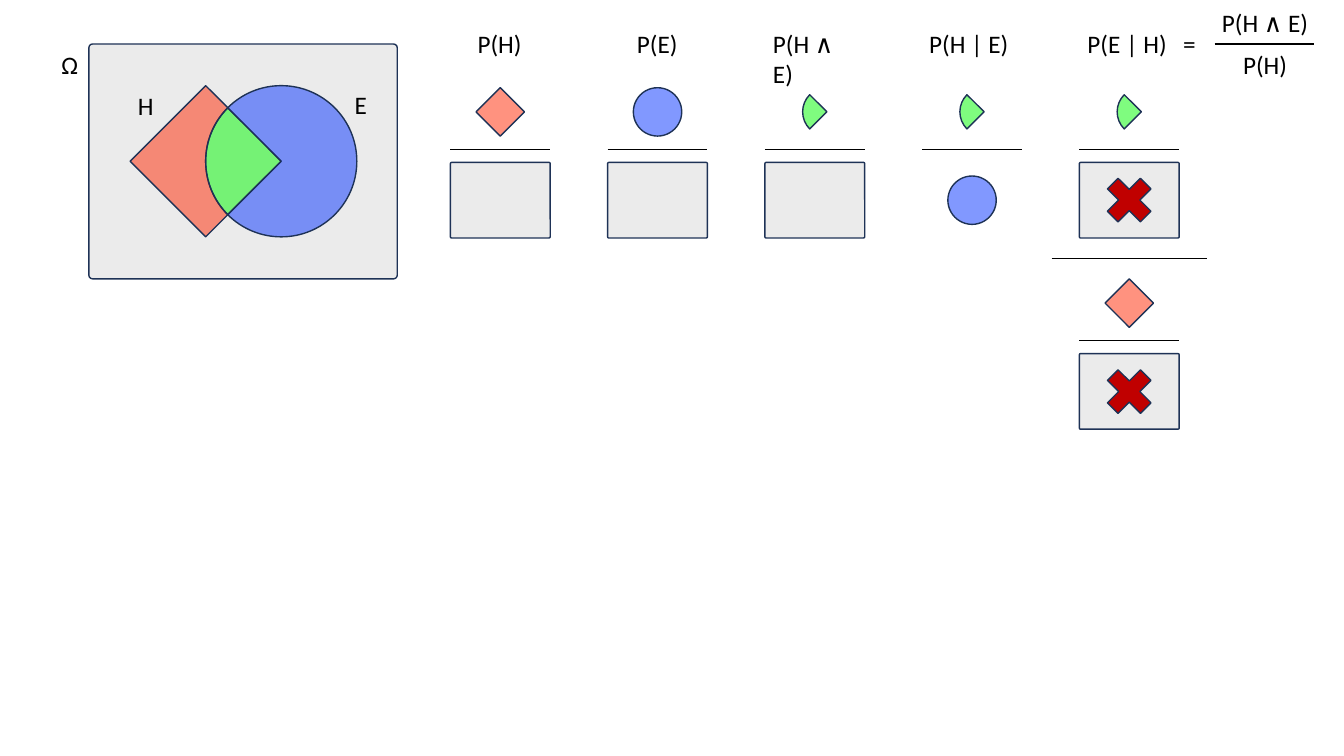
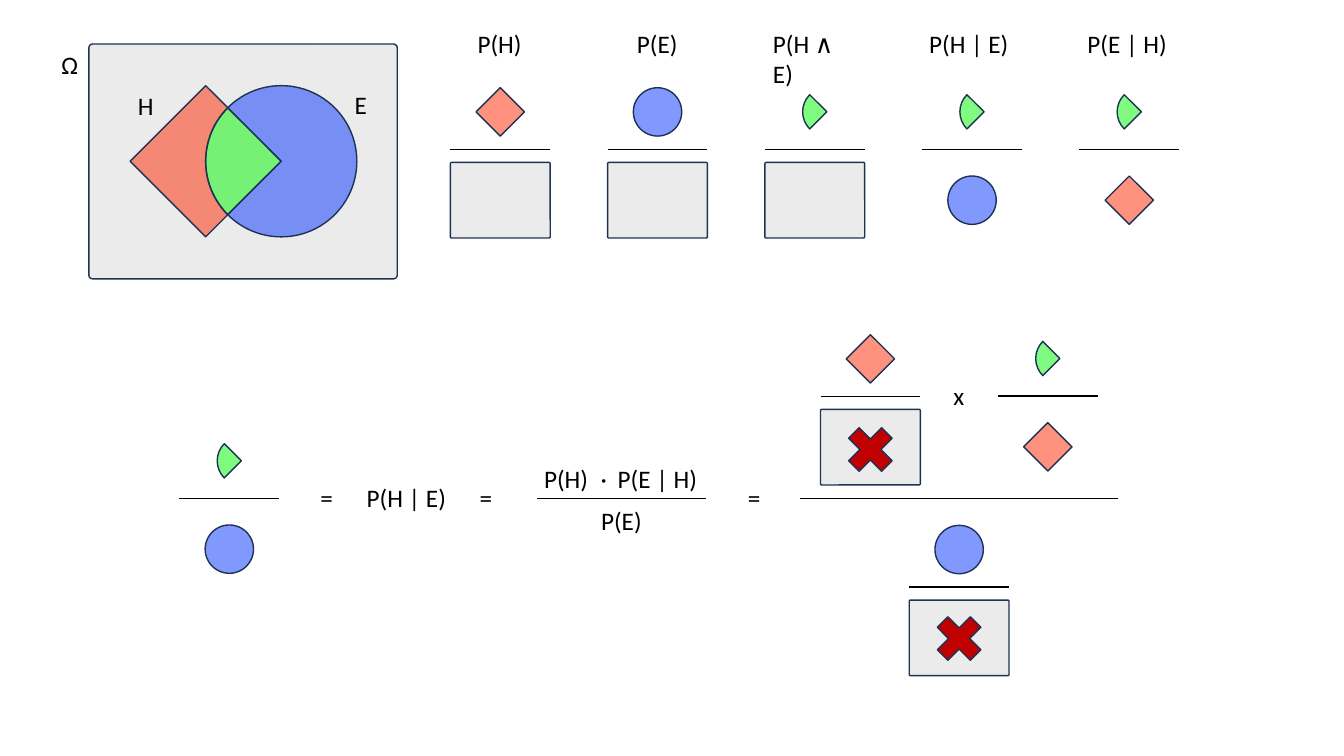
from math import cos, radians, sin, tan

from lxml import etree
from pptx import Presentation
from pptx.dml.color import RGBColor
from pptx.enum.shapes import MSO_CONNECTOR, MSO_SHAPE
from pptx.enum.text import PP_ALIGN
from pptx.oxml.ns import qn
from pptx.util import Inches, Pt

# Colours
RED = RGBColor(0xFF, 0x26, 0x00)
BLUE = RGBColor(0x04, 0x32, 0xFF)
GREEN = RGBColor(0x00, 0xFA, 0x00)
GRAY = RGBColor(0xD9, 0xD9, 0xD9)
CRIMSON = RGBColor(0xC0, 0x00, 0x00)
NAVY = RGBColor(0x1E, 0x32, 0x56)
BLACK = RGBColor(0x00, 0x00, 0x00)

# Enum members
DIAMOND = MSO_SHAPE.DIAMOND
OVAL = MSO_SHAPE.OVAL
ROUND = MSO_SHAPE.ROUNDED_RECTANGLE
TIMES = MSO_SHAPE.MATH_MULTIPLY
STRAIGHT = MSO_CONNECTOR.STRAIGHT
LEFT, CENTER = PP_ALIGN.LEFT, PP_ALIGN.CENTER

# Style; the grid has square cells of a tenth of an inch
FONT = {"name": "Calibri", "size": Pt(18)}
WIDE, HIGH = 133.33, 75
FIRST, STEP = 49.63, 15.6
BAR = 9.9
ROW = 14.83


def cell(count):
    return Inches(count / 10)


def arc(x, y, r, *turns):
    """Curves through the given angles, each two controls and an end."""
    curves = []
    for start, end in zip(turns, turns[1:]):
        a, b = radians(start), radians(end)
        k = 4 / 3 * tan((b - a) / 4)
        curves.append([
            (x + r * (cos(a) - k * sin(a)), y + r * (sin(a) + k * cos(a))),
            (x + r * (cos(b) + k * sin(b)), y + r * (sin(b) - k * cos(b))),
            (x + r * cos(b), y + r * sin(b))])
    return curves


class Board:
    """Holds the deck and the current slide; lengths are in cells."""

    def __init__(self):
        self.deck = Presentation()
        self.deck.slide_width = cell(WIDE)
        self.deck.slide_height = cell(HIGH)

    def page(self):
        blank = self.deck.slide_layouts[6]
        self.shapes = self.deck.slides.add_slide(blank).shapes

    def paint(self, shape, color, clear=True):
        shape.shadow.inherit = False
        shape.fill.solid()
        shape.fill.fore_color.rgb = color
        shape.line.color.rgb = NAVY
        shape.line.width = Pt(1)
        if clear:
            tone = shape.element.spPr.find(qn("a:solidFill"))[0]
            etree.SubElement(tone, qn("a:alpha"), val="50000")

    def solid(self, kind, x, y, w, h, color, clear=True):
        shape = self.shapes.add_shape(
            kind, cell(x - w / 2), cell(y - h / 2), cell(w), cell(h))
        if kind == ROUND:
            shape.adjustments[0] = 0.016
        self.paint(shape, color, clear)

    def patch(self, start, steps, color):
        """An outline of steps: one point is a line, three are a curve."""
        pen = self.shapes.build_freeform(*map(cell, start))
        pen.add_line_segments(
            [(cell(x), cell(y)) for step in steps for x, y in step])
        shape = pen.convert_to_shape()
        lines = iter(list(shape.element.iter(qn("a:lnTo"))))
        for step in steps:
            parts = [next(lines) for _ in step]
            if len(parts) == 3:
                curve = etree.Element(qn("a:cubicBezTo"))
                parts[0].addprevious(curve)
                for part in parts:
                    curve.append(part[0])
                    part.getparent().remove(part)
        self.paint(shape, color)

    def wedge(self, x, y, r):
        d = r * sin(radians(45))
        self.patch((x - d, y - d), [[(x, y)], [(x - d, y + d)]]
                   + arc(x, y, r, 135, 180, 225), GREEN)

    def bar(self, x, y, w=BAR):
        line = self.shapes.add_connector(
            STRAIGHT, cell(x - w / 2), cell(y), cell(x + w / 2), cell(y))
        line.line.color.rgb = BLACK
        line.line.width = Pt(1)
        etree.SubElement(line.element.spPr, qn("a:effectLst"))

    def label(self, text, left, top, w, wrap=False, align=LEFT, tabs=()):
        box = self.shapes.add_textbox(
            cell(left), cell(top), cell(w), cell(4))
        frame = box.text_frame
        frame.word_wrap = wrap
        para = frame.paragraphs[0]
        para.text, para.alignment = text, align
        if tabs:
            stops = etree.SubElement(
                para._p.get_or_add_pPr(), qn("a:tabLst"))
            for tab in tabs:
                etree.SubElement(
                    stops, qn("a:tab"), pos=str(cell(tab)), algn="l")
        for key, value in FONT.items():
            setattr(para.font, key, value)
        para.font.color.rgb = BLACK

    def cross(self, x, y):
        self.solid(TIMES, x, y, 6.3, 6.3, CRIMSON, clear=False)

    def sign(self, name, x, y):
        if name == "H":
            self.solid(DIAMOND, x, y, 4.8, 4.8, RED)
        elif name == "E":
            self.solid(OVAL, x, y, 4.8, 4.8, BLUE)
        elif name == "both":
            self.wedge(x + 1.2, y, 2.4)
        else:
            self.solid(ROUND, x, y, BAR, 7.5, GRAY)

    def ratio(self, top, low, x, y):
        self.sign(top, x, y - 3.73)
        self.bar(x, y)
        self.sign(low, x, y + 5.03)

    def venn(self):
        x, y, r = 27.9, 16, 7.5
        left, d = x - r, r * sin(radians(45))
        self.solid(ROUND, 24.12, 16.02, 30.6, 23.3, GRAY)
        self.wedge(x, y, r)
        self.patch((left, y - r), [[(x - d, y - d)]]
                   + arc(x, y, r, 225, 180, 135)
                   + [[(left, y + r)], [(left - r, y)], [(left, y - r)]],
                   RED)
        self.patch((x, y - r), arc(x, y, r, -90, 0, 90, 135)
                   + [[(x, y)], [(x - d, y - d)]]
                   + arc(x, y, r, -135, -90), BLUE)
        for text, at, top, w in (("Ω", 5.1, 4.4, 3.7), ("H", 12.7, 8.5, 3.6),
                                 ("E", 34.2, 8.4, 3.2)):
            self.label(text, at, top, w)

    def heads(self, low, last, form):
        """The Venn diagram and the row of five probabilities."""
        self.venn()
        terms = (("P(H)", "H", "all", 46.4, {"w": 6.4}),
                 ("P(E)", "E", "all", 62.2, {"w": 6.1}),
                 ("P(H ∧ E)", "both", "all", 75.7, {"w": 10.3, "wrap": True}),
                 ("P(H | E)", "both", "E", 91.2, {"w": 10}),
                 (last, "both", low, 106.9, form))
        for i, (text, top, base, left, style) in enumerate(terms):
            self.label(text, left, 2.3, **style)
            self.ratio(top, base, FIRST + STEP * i, ROW)


def main():
    board = Board()

    # Slide 1: the ratio for P(E | H) before it is reduced
    board.page()
    board.heads("all", "P(E | H)\t=",
                {"w": 13, "wrap": True, "tabs": [9.5]})
    end = FIRST + 4 * STEP
    board.bar(end, 25.64, 15.4)
    board.ratio("H", "all", end, 33.8)
    for y in (19.85, 38.85):
        board.cross(end, y)
    board.bar(125.45, 4.35)
    for text, top in (("P(H ∧ E)", 0.2), ("P(H)", 4.4)):
        board.label(text, 120, top, 11, wrap=True, align=CENTER)

    # Slide 2: the reduced ratio and the rule for P(H | E)
    board.page()
    board.heads("H", "P(E | H)", {"w": 10})
    mid = 49.45
    board.ratio("both", "E", 22.75, mid)
    board.label("=\tP(H | E)\t=", 30.8, 47.4, 19.5,
                wrap=True, tabs=[4.6, 15.8])
    board.label("P(H)\t·\tP(E | H)", 53, 45.5, 18,
                wrap=True, tabs=[5.6, 7.3])
    board.bar(61.65, mid, 16.7)
    board.label("P(E)", 58.6, 49.6, 6.1, align=CENTER)
    board.label("=", 73.2, 47.4, 3.3)

    # Nested ratio at the right
    board.ratio("H", "all", 86.35, 39.33)
    board.cross(86.35, 44.6)
    board.label("x", 93.6, 37.2, 3.1)
    board.ratio("both", "H", 103.95, 39.3)
    board.bar(95.15, mid, 31.5)
    board.ratio("E", "all", 95.15, 58.25)
    board.cross(95.15, 63.35)

    board.deck.save("out.pptx")


if __name__ == "__main__":
    main()
